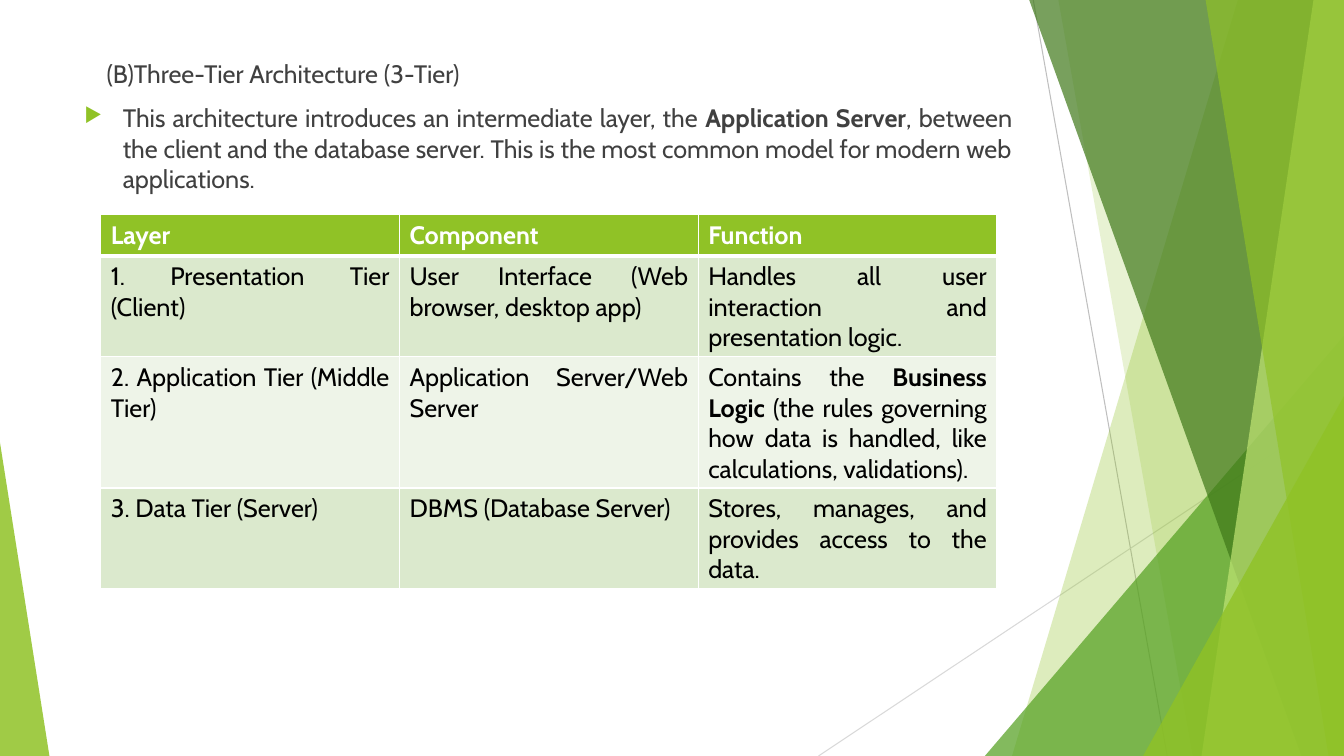
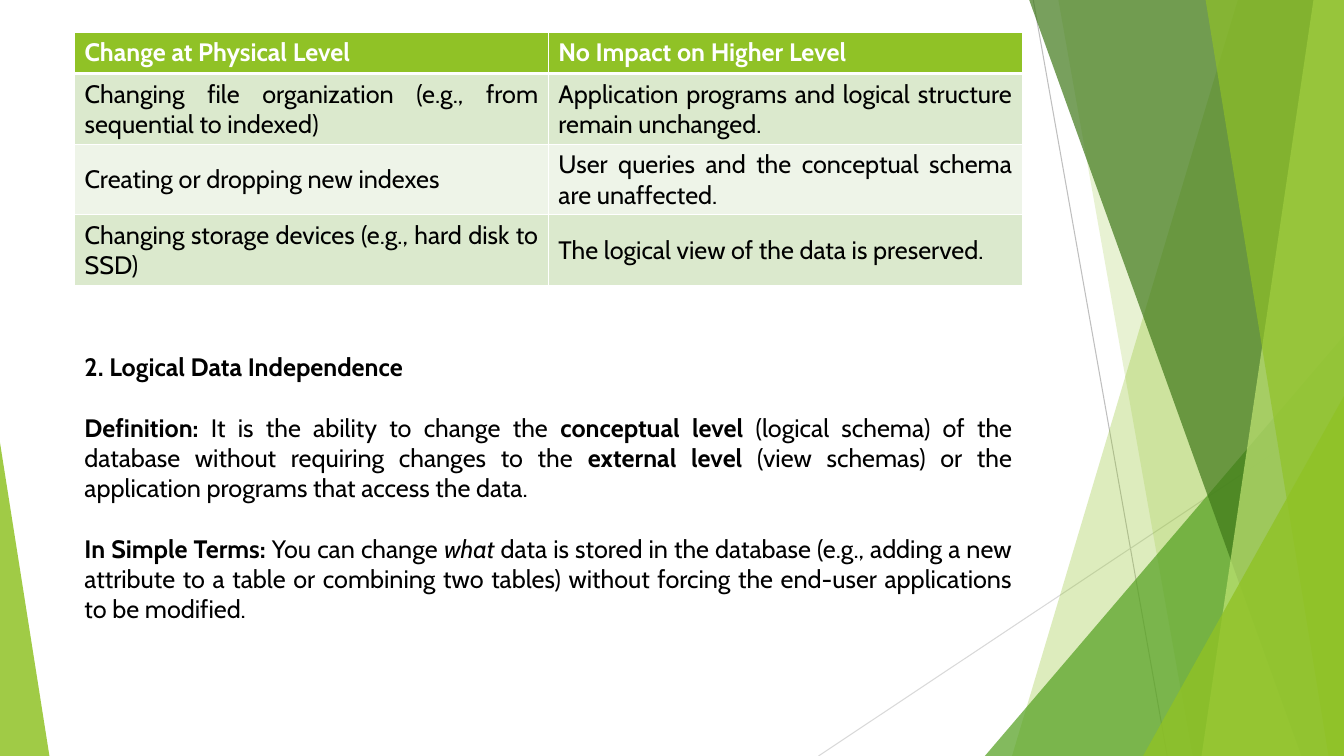
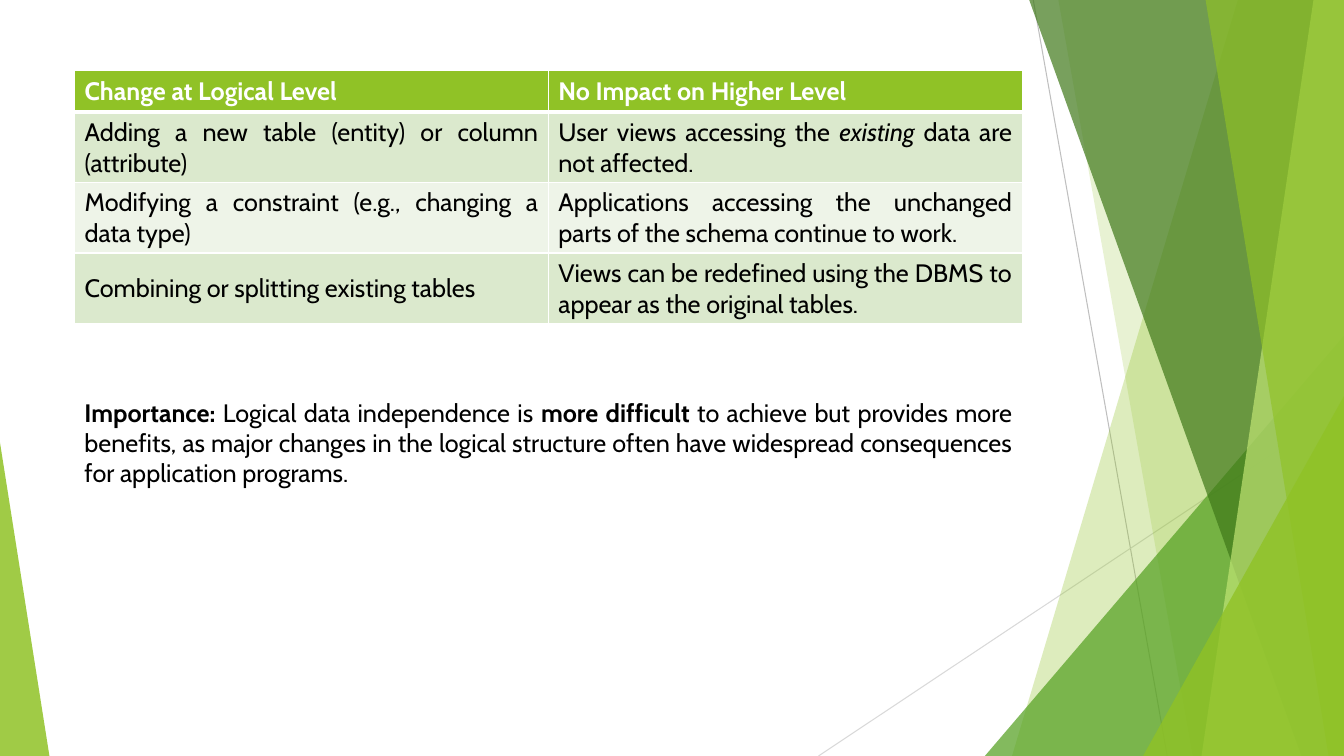
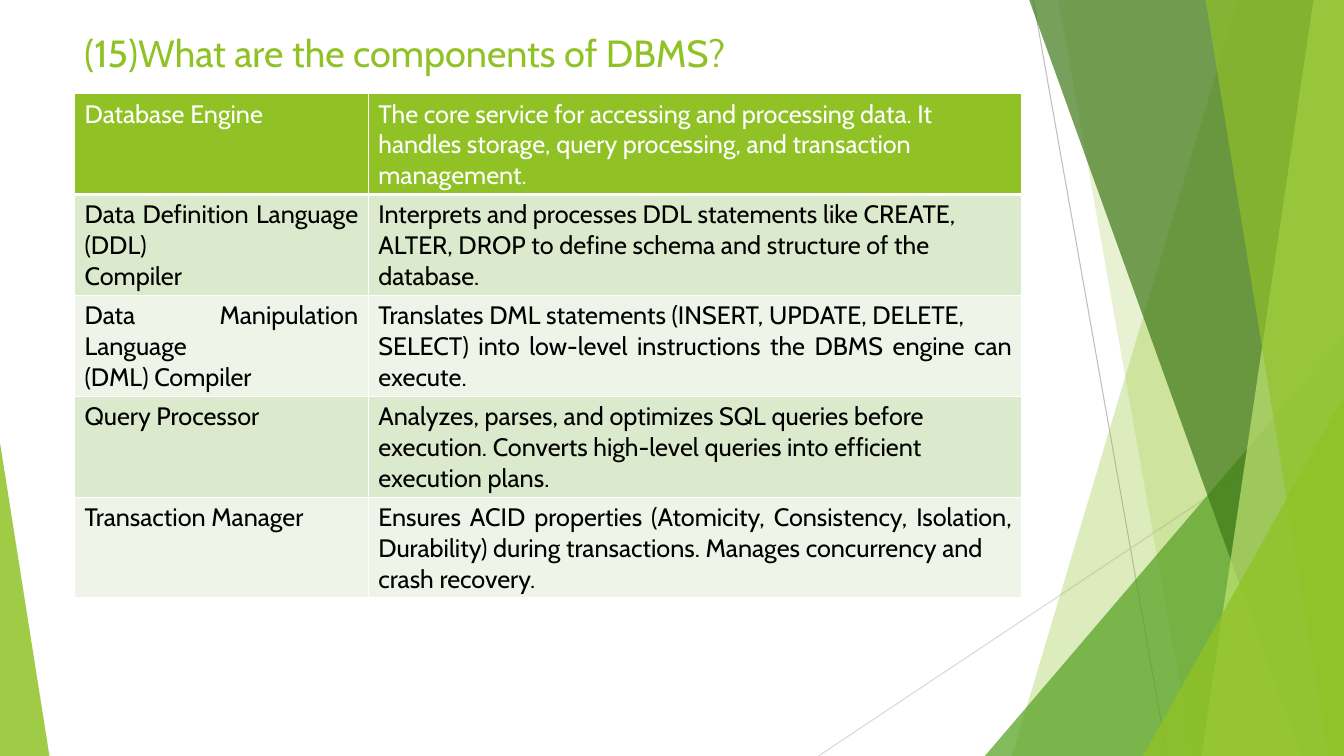
import dataclasses

import lxml.etree
import pptx
import pptx.dml.color
import pptx.enum.shapes
import pptx.enum.text
import pptx.oxml.ns
import pptx.util


@dataclasses.dataclass(frozen=True)
class Theme:
    font: str = "Cabin"
    title_size: int = 27
    text_size: int = 18
    green: str = "90C226"
    mid_green: str = "54A021"
    dark_green: str = "3F7819"
    light_green: str = "C0E474"
    odd_row: str = "DBE9CD"
    even_row: str = "EEF4E8"
    white: str = "FFFFFF"
    black: str = "000000"
    body: str = "404040"
    line: str = "BFBFBF"
    pale_line: str = "D9D9D9"


theme = Theme()
rgb = pptx.dml.color.RGBColor.from_string
qn = pptx.oxml.ns.qn
align = pptx.enum.text.PP_ALIGN
anchor = pptx.enum.text.MSO_ANCHOR


def add_xml(parent, tag, **attributes):
    """Append a child element such as a:alpha and return it."""
    return lxml.etree.SubElement(parent, qn(tag), attributes)


def write_text(text_frame, text, colour, size=theme.text_size, gap=0, alignment=align.JUSTIFY):
    """Write one paragraph a line; **bold** and _italic_ mark the runs."""
    text_frame.word_wrap = True
    for index, line in enumerate(text.split("\n")):
        paragraph = text_frame.add_paragraph() if index else text_frame.paragraphs[0]
        paragraph.alignment = alignment
        if index and gap:
            paragraph.space_before = pptx.util.Pt(gap)
        for bold, bold_part in enumerate(line.split("**")):
            for italic, part in enumerate(bold_part.split("_")):
                if part:
                    run = paragraph.add_run()
                    run.text = part
                    run.font.name = theme.font
                    run.font.size = pptx.util.Pt(size)
                    run.font.color.rgb = rgb(colour)
                    run.font.bold = bold % 2 == 1
                    run.font.italic = italic % 2 == 1


presentation = pptx.Presentation()
presentation.slide_width = pptx.util.Inches(13.33)
presentation.slide_height = pptx.util.Inches(7.5)

# Grid: 100 columns by 100 rows over the whole slide
column = presentation.slide_width / 100
row = presentation.slide_height / 100
left, width = 5.55, 70.5
row_height = 5.47

# Content of the slides: places and heights in grid rows
pages = [
    {
        "text": (7.07, 81.07, theme.body, theme.text_size, 10,
                 "(B)Three-Tier Architecture (3-Tier)\n"
                 "This architecture introduces an intermediate layer, the **Application Server**, "
                 "between the client and the database server. This is the most common model for "
                 "modern web applications."),
        "table": (7.5, 28.4, 66.68, 57.47),
        "shares": [1 / 3] * 3,
        "anchor": anchor.TOP,
        "cells": [
            ["**Layer**", "**Component**", "**Function**"],
            ["1. Presentation Tier (Client)", "User Interface (Web browser, desktop app)",
             "Handles all user interaction and presentation logic."],
            ["2. Application Tier (Middle Tier)", "Application Server/Web Server",
             "Contains the **Business Logic** (the rules governing how data is handled, "
             "like calculations, validations)."],
            ["3. Data Tier (Server)", "DBMS (Database Server)",
             "Stores, manages, and provides access to the data."],
        ],
    },
    {
        "text": (45.87, 37.73, theme.black, theme.text_size, 21.6,
                 "**2. Logical Data Independence**\n"
                 "**Definition:** It is the ability to change the **conceptual level** (logical "
                 "schema) of the database without requiring changes to the **external level** "
                 "(view schemas) or the application programs that access the data.\n"
                 "**In Simple Terms:** You can change _what_ data is stored in the database "
                 "(e.g., adding a new attribute to a table or combining two tables) without "
                 "forcing the end-user applications to be modified."),
        "table": (left, 4.27, width, 33.47),
        "shares": [0.5, 0.5],
        "anchor": anchor.MIDDLE,
        "cells": [
            ["**Change at Physical Level**", "**No Impact on Higher Level**"],
            ["Changing file organization (e.g., from sequential to indexed)",
             "Application programs and logical structure remain unchanged."],
            ["Creating or dropping new indexes",
             "User queries and the conceptual schema are unaffected."],
            ["Changing storage devices (e.g., hard disk to SSD)",
             "The logical view of the data is preserved."],
        ],
    },
    {
        "text": (51.87, 13.47, theme.black, theme.text_size, 0,
                 "**Importance:** Logical data independence is **more difficult** to achieve but "
                 "provides more benefits, as major changes in the logical structure often have "
                 "widespread consequences for application programs."),
        "table": (left, 9.33, width, 33.47),
        "shares": [0.5, 0.5],
        "anchor": anchor.MIDDLE,
        "cells": [
            ["**Change at Logical Level**", "**No Impact on Higher Level**"],
            ["Adding a new table (entity) or column (attribute)",
             "User views accessing the _existing_ data are not affected."],
            ["Modifying a constraint (e.g., changing a data type)",
             "Applications accessing the unchanged parts of the schema continue to work."],
            ["Combining or splitting existing tables",
             "Views can be redefined using the DBMS to appear as the original tables."],
        ],
    },
    {
        "text": (3.33, 9.2, theme.green, theme.title_size, 0,
                 "(15)What are the components of DBMS?"),
        "table": (left, 12.4, width, 70.67),
        "shares": [0.31, 0.69],
        "anchor": anchor.TOP,
        "cells": [
            ["Database Engine",
             "The core service for accessing and processing data. It\n"
             "handles storage, query processing, and transaction\nmanagement."],
            ["Data Definition Language (DDL)\nCompiler",
             "Interprets and processes DDL statements like CREATE,\n"
             "ALTER, DROP to define schema and structure of the\ndatabase."],
            ["Data Manipulation Language\n(DML) Compiler",
             "Translates DML statements (INSERT, UPDATE, DELETE,\n"
             "SELECT) into low-level instructions the DBMS engine can execute."],
            ["Query Processor",
             "Analyzes, parses, and optimizes SQL queries before\n"
             "execution. Converts high-level queries into efficient\nexecution plans."],
            ["Transaction Manager",
             "Ensures ACID properties (Atomicity, Consistency, Isolation, Durability) during "
             "transactions. Manages concurrency and\ncrash recovery."],
        ],
    },
]

layout = presentation.slide_layouts[6]
for placeholder in list(layout.placeholders):
    layout.shapes.element.remove(placeholder.element)
slides = [presentation.slides.add_slide(layout) for page in pages]

# Shared decoration: thin lines, then translucent bands and triangles
decoration = slides[0].shapes.add_group_shape()
for x1, y1, x2, y2, colour in [
    (76.88, 0, 86.85, 100, theme.line),
    (100, 53.73, 60.9, 100, theme.pale_line),
]:
    connector = decoration.shapes.add_connector(
        pptx.enum.shapes.MSO_CONNECTOR.STRAIGHT,
        int(x1 * column), int(y1 * row), int(x2 * column), int(y2 * row))
    connector.line.color.rgb = rgb(colour)
    connector.line.width = pptx.util.Pt(0.75)
    add_xml(connector.element.spPr, "a:effectLst")

# A band has its left edge at the top and at the bottom of the slide;
# a triangle has its left, top, width and apex, and stands on the bottom
for geometry, colour, opacity in [
    ((92.1, 75.3), theme.green, 30),
    ((78.75, 88.73), theme.green, 20),
    ((73.28, 44.4, 26.72, 1), theme.mid_green, 72),
    ((76.58, 96.83), theme.dark_green, 70),
    ((97.73, 89.4), theme.light_green, 70),
    ((89.7, 98.85), theme.green, 65),
    ((85.05, 52.4, 14.95, 1), theme.green, 80),
    ((0, 58.53, 3.68, 0), theme.green, 85),
]:
    if len(geometry) == 2:
        top_x, bottom_x = (int(x * column) for x in geometry)
        right, bottom = presentation.slide_width, presentation.slide_height
        builder = decoration.shapes.build_freeform(top_x, 0)
        builder.add_line_segments([(right, 0), (right, bottom), (bottom_x, bottom)], close=True)
        shape = builder.convert_to_shape()
    else:
        x, y, breadth, apex = geometry
        shape = decoration.shapes.add_shape(
            pptx.enum.shapes.MSO_SHAPE.ISOSCELES_TRIANGLE,
            int(x * column), int(y * row), int(breadth * column), int((100 - y) * row))
        shape.adjustments[0] = apex
    shape.shadow.inherit = False
    shape.fill.solid()
    shape.fill.fore_color.rgb = rgb(colour)
    add_xml(shape.element.spPr.find(".//" + qn("a:srgbClr")), "a:alpha", val=str(opacity * 1000))
    shape.line.fill.background()

# The layout carries the decoration, so every slide shows it
layout.shapes.element.append(decoration.element)

for slide, page in zip(slides, pages):
    # Text
    top, height, colour, size, gap, text = page["text"]
    text_box = slide.shapes.add_textbox(
        int(left * column), int(top * row), int(width * column), int(height * row))
    alignment = align.LEFT if size == theme.title_size else align.JUSTIFY
    write_text(text_box.text_frame, text, colour, size, gap, alignment)

    # Table
    cells = page["cells"]
    x, y, table_width, table_height = page["table"]
    frame = slide.shapes.add_table(
        len(cells), len(cells[0]), int(x * column), int(y * row),
        int(table_width * column), int(table_height * row))
    for table_column, share in zip(frame.table.columns, page["shares"]):
        table_column.width = int(share * table_width * column)
    for row_index, texts in enumerate(cells):
        frame.table.rows[row_index].height = int(row_height * row)
        if row_index == 0:
            fill, colour = theme.green, theme.white
        else:
            fill, colour = (theme.even_row, theme.odd_row)[row_index % 2], theme.black
        for column_index, text in enumerate(texts):
            cell = frame.table.cell(row_index, column_index)
            cell.vertical_anchor = page["anchor"]
            write_text(cell.text_frame, text, colour)
            properties = cell._tc.get_or_add_tcPr()
            for side in "LRTB":
                thick = (row_index, side) in [(0, "B"), (1, "T")]
                border = add_xml(properties, "a:ln" + side, w=str(pptx.util.Pt(3 if thick else 1)))
                add_xml(add_xml(border, "a:solidFill"), "a:srgbClr", val=theme.white)
            cell.fill.solid()
            cell.fill.fore_color.rgb = rgb(fill)
    frame.height = int(table_height * row)

# Indented heading and bulleted paragraph of the first slide
heading, bulleted = slides[0].shapes[0].text_frame.paragraphs
heading._p.get_or_add_pPr().set("marL", str(pptx.util.Inches(0.22)))
properties = bulleted._p.get_or_add_pPr()
properties.set("marL", str(pptx.util.Inches(0.38)))
properties.set("indent", str(pptx.util.Inches(-0.38)))
add_xml(add_xml(properties, "a:buClr"), "a:srgbClr", val=theme.green)
add_xml(properties, "a:buSzPct", val="80000")
add_xml(properties, "a:buChar", char="▶")

presentation.save("out.pptx")
